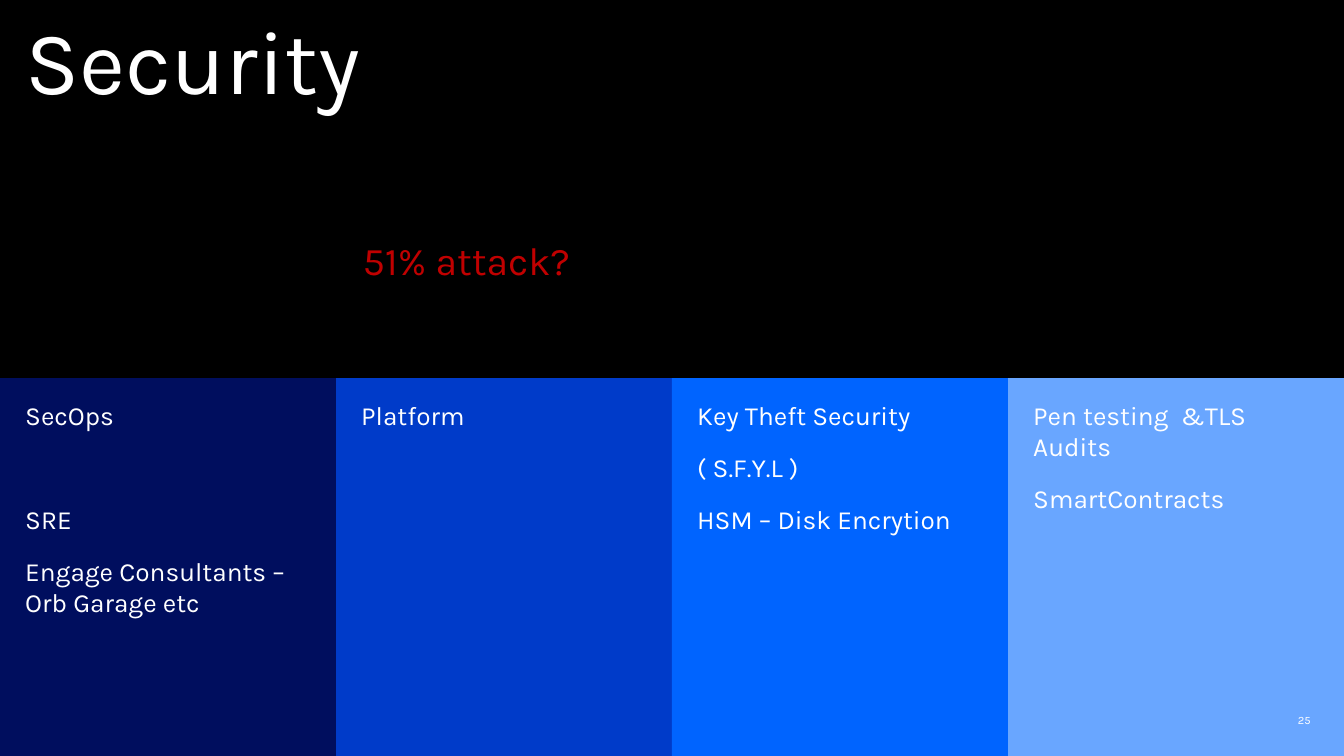
from dataclasses import dataclass

from pptx import Presentation
from pptx.dml.color import RGBColor
from pptx.enum.shapes import MSO_SHAPE
from pptx.enum.text import MSO_ANCHOR, PP_ALIGN
from pptx.util import Inches, Pt


@dataclass(frozen=True)
class Theme:
    """Colours, font and type sizes of the slide."""
    font: str = "Karla"
    white: str = "FFFFFF"
    black: str = "000000"
    red: str = "C00000"
    navy: str = "000E5E"
    blues: tuple = ("000E5E", "003BC9", "0064FF", "69A6FF")
    title: float = 64
    query: float = 28
    body: float = 18.7
    small: float = 8
    gap: float = 14.7
    wide_gap: float = 51.8


THEME = Theme()
WIDTH, HEIGHT = 13.33, 7.5
HALF = HEIGHT / 2

COLUMNS = [
    [("SecOps", 0), ("SRE", THEME.wide_gap),
     ("Engage Consultants – Orb Garage etc", THEME.gap)],
    [("Platform", 0)],
    [("Key Theft Security", 0), ("( S.F.Y.L )", THEME.gap),
     ("HSM – Disk Encrytion", THEME.gap)],
    [("Pen testing  &TLS\vAudits", 0), ("SmartContracts", THEME.gap)],
]


def write(shape, lines, size, color, insets, anchor=MSO_ANCHOR.TOP,
          align=PP_ALIGN.LEFT, spacing=1.0):
    """Fill a shape with (text, space before) lines in one style."""
    frame = shape.text_frame
    frame.word_wrap = True
    frame.vertical_anchor = anchor
    left, top, right, bottom = map(Inches, insets)
    frame.margin_left, frame.margin_top = left, top
    frame.margin_right, frame.margin_bottom = right, bottom
    frame.text = "\n".join(text for text, _ in lines)
    for para, (_, before) in zip(frame.paragraphs, lines):
        para.alignment = align
        para.line_spacing = spacing
        para.space_before = Pt(before)
        for run in para.runs:
            run.font.name = THEME.font
            run.font.size = Pt(size)
            run.font.color.rgb = RGBColor.from_string(color)


def add_panel(slide, box, fill):
    """Add a flat filled rectangle without an outline."""
    panel = slide.shapes.add_shape(MSO_SHAPE.RECTANGLE, *map(Inches, box))
    panel.shadow.inherit = False
    panel.fill.solid()
    panel.fill.fore_color.rgb = RGBColor.from_string(fill)
    panel.line.fill.background()
    return panel


def add_label(slide, box, text, size, color, insets, **style):
    """Add a text box with a single line."""
    label = slide.shapes.add_textbox(*map(Inches, box))
    write(label, [(text, 0)], size, color, insets, **style)


def main():
    """Build the security slide and save it."""
    deck = Presentation()
    deck.slide_width, deck.slide_height = Inches(WIDTH), Inches(HEIGHT)
    slide = deck.slides.add_slide(deck.slide_layouts[6])
    slide.background.fill.solid()
    slide.background.fill.fore_color.rgb = RGBColor.from_string(THEME.navy)

    header = add_panel(slide, (0, 0, WIDTH, HALF), THEME.black)
    write(header, [("Security", 0)], THEME.title, THEME.white,
          (0.25, 0.17, 0.25, 0.25), spacing=0.9)

    step = WIDTH / len(COLUMNS)
    for index, (lines, fill) in enumerate(zip(COLUMNS, THEME.blues)):
        panel = add_panel(slide, (index * step, HALF, step, HALF), fill)
        write(panel, lines, THEME.body, THEME.white, (0.25, 0.21, 0.25, 0.25))

    add_label(slide, (3.5, 2.3, 4.58, 0.57), "51% attack?", THEME.query,
              THEME.red, (0.1, 0.05, 0.1, 0.05))
    add_label(slide, (10, 7.04, 3, 0.2), "25", THEME.small, THEME.white,
              (0, 0, 0, 0), anchor=MSO_ANCHOR.MIDDLE, align=PP_ALIGN.RIGHT)
    deck.save("out.pptx")


if __name__ == "__main__":
    main()
